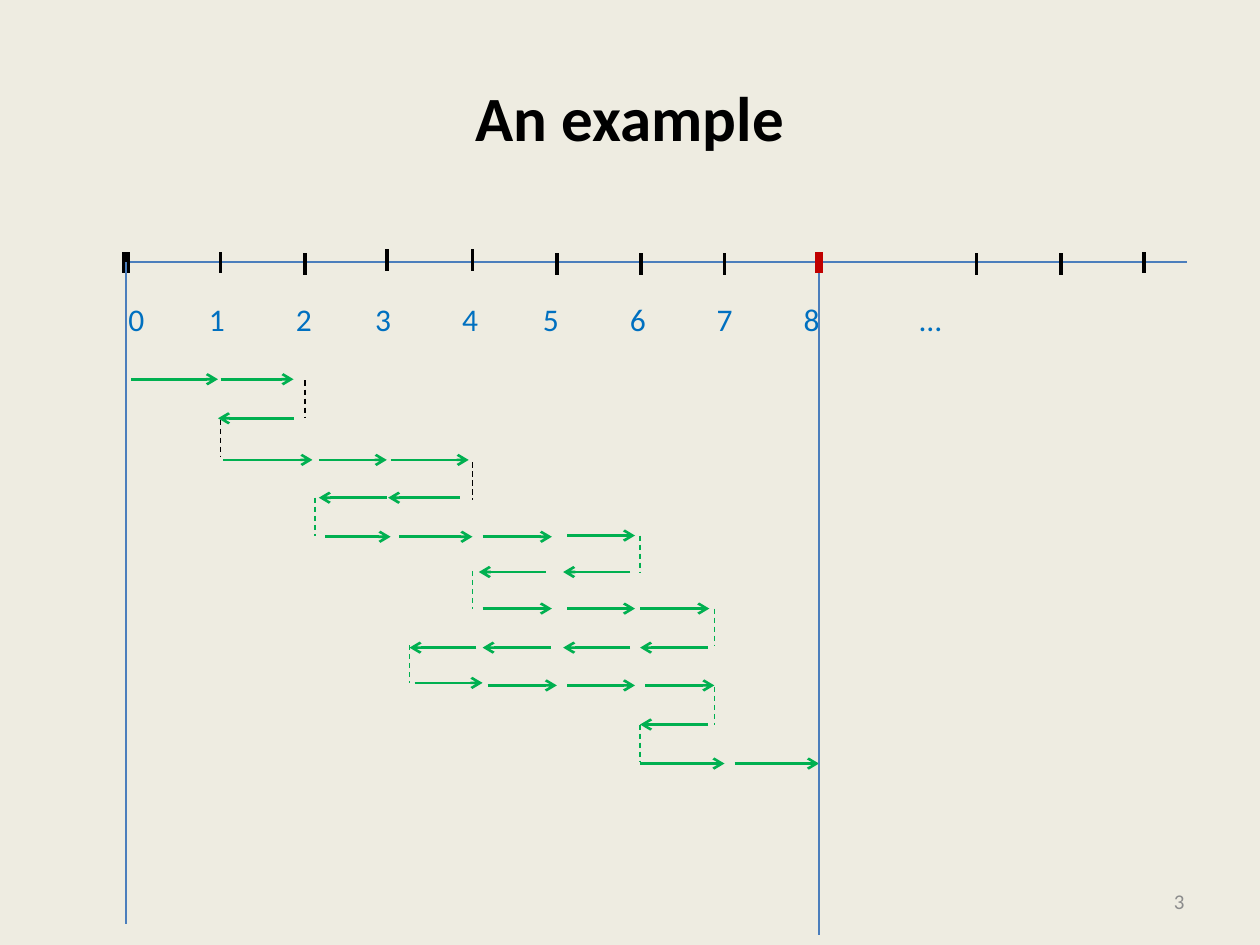
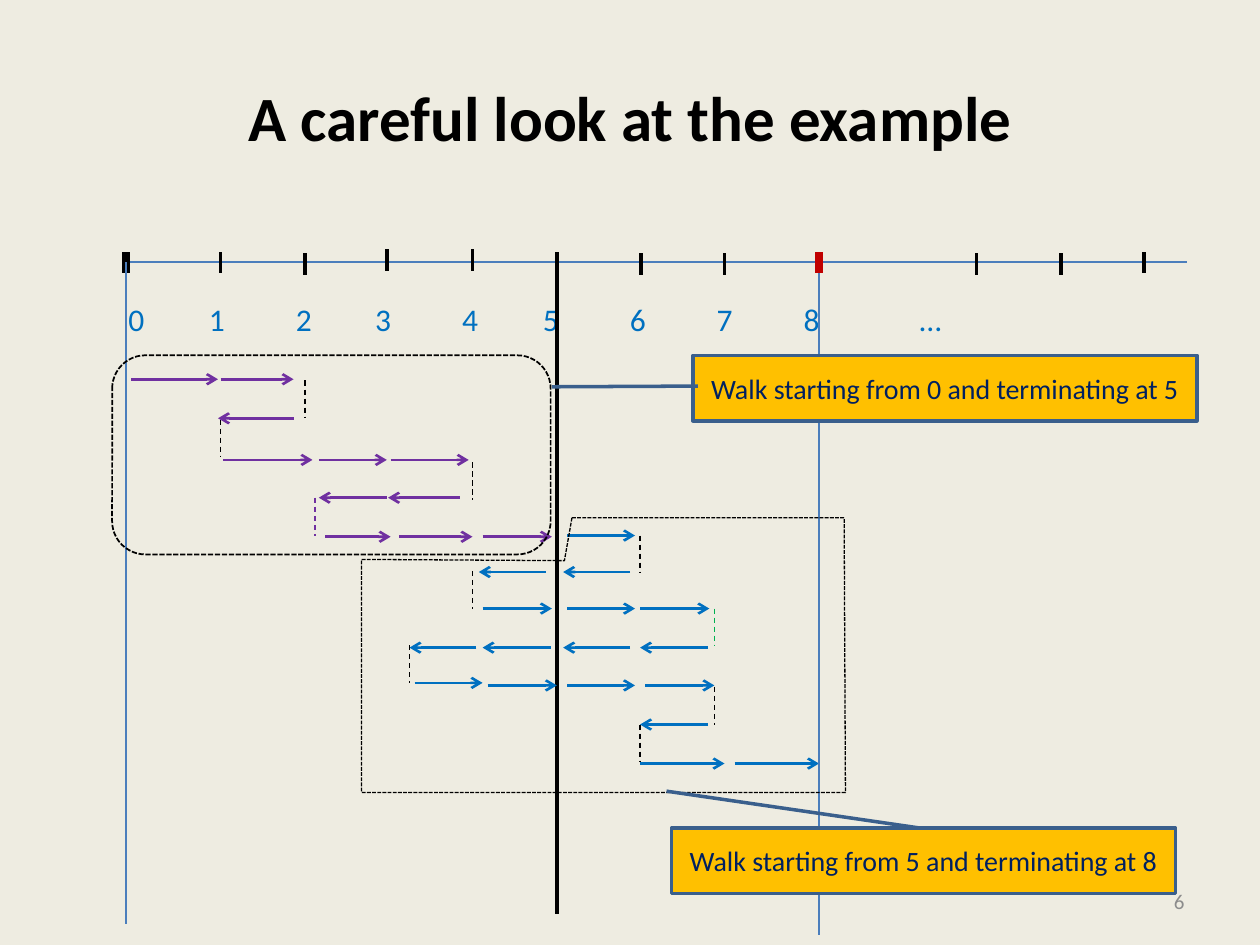
from dataclasses import dataclass

from lxml import etree
from pptx import Presentation
from pptx import util as u
from pptx.dml.color import RGBColor
from pptx.enum import dml, shapes, text
from pptx.oxml import ns

PX = 9144


@dataclass(frozen=True)
class Theme:
    font: str = "Calibri"
    paper: str = "EEECE1"
    ink: str = "000000"
    axis: str = "4B7EBC"
    blue: str = "0070C0"
    green: str = "00B050"
    purple: str = "7030A0"
    goal: str = "C00000"
    muted: str = "8C8C8C"
    note_fill: str = "FFC000"
    note_edge: str = "3A5F8C"
    note_text: str = "002060"
    title_size: int = 36
    label_size: int = 18
    note_size: int = 16
    number_size: int = 12


TICKS = [(175, 200), (242, 201), (307, 198), (375, 198), (442, 201), (509, 201),
         (575, 201), (775, 201), (842, 201), (908, 200)]
TICK_HEIGHT = 17
LABELS = ["0", "1", "2", "3", "4", "5", "6", "7", "8", "…"]
LABEL_STOPS = [64, 133, 196, 265, 329, 398, 467, 536, 628]
TURN_HEIGHT = 30
DROP_HEIGHT = 525

WALK_TO_5 = [
    (301, [(104, 173), (175, 233)]),
    (332, [(233, 173)]),
    (365, [(177, 248), (253, 307), (310, 372)]),
    (395, [(365, 308), (307, 253)]),
    (426, [(258, 310), (317, 375), (383, 438)]),
]
WALK_TO_8 = [
    (425, [(450, 504)]),
    (454, [(500, 447), (433, 380)]),
    (483, [(383, 438), (450, 504), (508, 563)]),
    (514, [(562, 508), (500, 447), (437, 383), (378, 325)]),
    (542, [(329, 383)]),
    (544, [(387, 442), (450, 504), (512, 567)]),
    (575, [(562, 508)]),
    (606, [(508, 575), (583, 650)]),
]
EARLY_TURNS = [(242, 302), (175, 333), (375, 367)]
TURN_AT_2 = (250, 395)
TURN_AT_7 = (567, 483)
LATE_TURNS = [(508, 425), (375, 453), (325, 512), (567, 545), (508, 575)]
REGION_TO_8 = [(454, 411), (670, 411), (671, 629), (287, 629),
               (287, 451), (287, 444), (448, 445)]


class Deck:
    def __init__(self, theme):
        self.theme = theme
        self.prs = Presentation()
        self.prs.slide_width = 1000 * PX
        self.prs.slide_height = 750 * PX
        self.slide = None

    def box(self, *lengths):
        return [n * PX for n in lengths]

    def style(self, p, size, color, align, bold=False):
        p.alignment = align
        for r in p.runs:
            r.font.name = self.theme.font
            r.font.size = u.Pt(size)
            r.font.bold = bold
            r.font.color.rgb = RGBColor.from_string(color)

    def stroke(self, line, color, width, dash=None):
        line.color.rgb = RGBColor.from_string(color)
        line.width = u.Pt(width)
        if dash is not None:
            line.dash_style = dash

    def new_slide(self, title, number):
        t = self.theme
        self.slide = self.prs.slides.add_slide(self.prs.slide_layouts[5])
        fill = self.slide.background.fill
        fill.solid()
        fill.fore_color.rgb = RGBColor.from_string(t.paper)
        sp = self.slide.shapes.title
        sp.left, sp.top, sp.width, sp.height = self.box(50, 30, 900, 125)
        tf = sp.text_frame
        tf.text = title
        tf.vertical_anchor = text.MSO_ANCHOR.MIDDLE
        self.style(tf.paragraphs[0], t.title_size, t.ink, text.PP_ALIGN.CENTER, True)
        self.label(str(number), (717, 695, 233, 40), t.number_size, t.muted,
                   text.PP_ALIGN.RIGHT, text.MSO_ANCHOR.MIDDLE)

    def label(self, words, area, size, color, align=text.PP_ALIGN.LEFT,
              anchor=text.MSO_ANCHOR.TOP, stops=()):
        tf = self.slide.shapes.add_textbox(*self.box(*area)).text_frame
        tf.word_wrap = True
        tf.vertical_anchor = anchor
        tf.text = words
        p = tf.paragraphs[0]
        if stops:
            tabs = etree.SubElement(p._p.get_or_add_pPr(), ns.qn("a:tabLst"))
            for stop in stops:
                etree.SubElement(tabs, ns.qn("a:tab"), pos=str(stop * PX), algn="l")
        self.style(p, size, color, align)

    def line(self, x1, y1, x2, y2, color, width, dash=None, arrow=False):
        sp = self.slide.shapes.add_connector(
            shapes.MSO_CONNECTOR.STRAIGHT, *self.box(x1, y1, x2, y2))
        self.stroke(sp.line, color, width, dash)
        if arrow:
            etree.SubElement(sp.line._get_or_add_ln(), ns.qn("a:tailEnd"), type="arrow")
        etree.SubElement(sp._element.spPr, ns.qn("a:effectLst"))

    def number_line(self):
        t = self.theme
        self.line(100, 208, 942, 208, t.axis, 1.5)
        marks = [(x, y, t.ink, 2.25) for x, y in TICKS]
        marks += [(100, 200, t.ink, 4.5), (650, 200, t.goal, 4.5)]
        for x, y, color, width in marks:
            self.line(x, y, x, y + TICK_HEIGHT, color, width)
        self.label("\t".join(LABELS), (92, 233, 786, 40), t.label_size, t.blue,
                   stops=LABEL_STOPS)

    def walk(self, rows, color):
        for y, steps in rows:
            for start, end in steps:
                self.line(start, y, end, y, color, 1.5, arrow=True)

    def turns(self, points, color):
        for x, y in points:
            self.line(x, y, x, y + TURN_HEIGHT, color, 0.75, dml.MSO_LINE.DASH)

    def bounds(self):
        for x, y in [(650, 217), (100, 208)]:
            self.line(x, y, x, y + DROP_HEIGHT, self.theme.axis, 0.75)

    def outline(self, sp, width):
        sp.shadow.inherit = False
        sp.fill.background()
        self.stroke(sp.line, self.theme.ink, width, dml.MSO_LINE.SQUARE_DOT)

    def region(self, points):
        fb = self.slide.shapes.build_freeform(*points[0], scale=PX)
        fb.add_line_segments(points[1:], close=True)
        self.outline(fb.convert_to_shape(), 0.75)

    def rounded_region(self, *area):
        sp = self.slide.shapes.add_shape(
            shapes.MSO_SHAPE.ROUNDED_RECTANGLE, *self.box(*area))
        self.outline(sp, 1)

    def callout(self, words, left, top, pointer):
        t = self.theme
        sp = self.slide.shapes.add_shape(
            shapes.MSO_SHAPE.LINE_CALLOUT_1, *self.box(left, top, 400, 52))
        for i, value in enumerate(pointer):
            sp.adjustments[i] = value
        sp.shadow.inherit = False
        sp.fill.solid()
        sp.fill.fore_color.rgb = RGBColor.from_string(t.note_fill)
        self.stroke(sp.line, t.note_edge, 2)
        tf = sp.text_frame
        tf.text = words
        tf.word_wrap = True
        tf.vertical_anchor = text.MSO_ANCHOR.MIDDLE
        self.style(tf.paragraphs[0], t.note_size, t.note_text, text.PP_ALIGN.CENTER)


def example_slide(deck):
    t = deck.theme
    deck.new_slide("An example", 3)
    deck.number_line()
    deck.turns(EARLY_TURNS, t.ink)
    deck.walk(WALK_TO_5 + WALK_TO_8, t.green)
    deck.turns([TURN_AT_2, TURN_AT_7] + LATE_TURNS, t.green)
    deck.bounds()


def careful_look_slide(deck):
    t = deck.theme
    deck.new_slide("A careful look at the example", 6)
    deck.number_line()
    deck.line(442, 200, 442, 725, t.ink, 2.25)
    deck.turns(EARLY_TURNS, t.ink)
    deck.walk(WALK_TO_5, t.purple)
    deck.turns([TURN_AT_2], t.purple)
    deck.walk(WALK_TO_8, t.blue)
    deck.turns(LATE_TURNS, t.ink)
    deck.turns([TURN_AT_7], t.green)
    deck.bounds()
    deck.region(REGION_TO_8)
    deck.rounded_region(89, 282, 348, 158)
    deck.callout("Walk starting from 0 and terminating at 5", 550, 282,
                 (0.47, 0.01, 0.48, -0.28))
    deck.callout("Walk starting from 5 and terminating at 8", 533, 657,
                 (0, 0.49, -0.56, -0.01))


def main():
    deck = Deck(Theme())
    example_slide(deck)
    careful_look_slide(deck)
    deck.prs.save("out.pptx")


if __name__ == "__main__":
    main()
